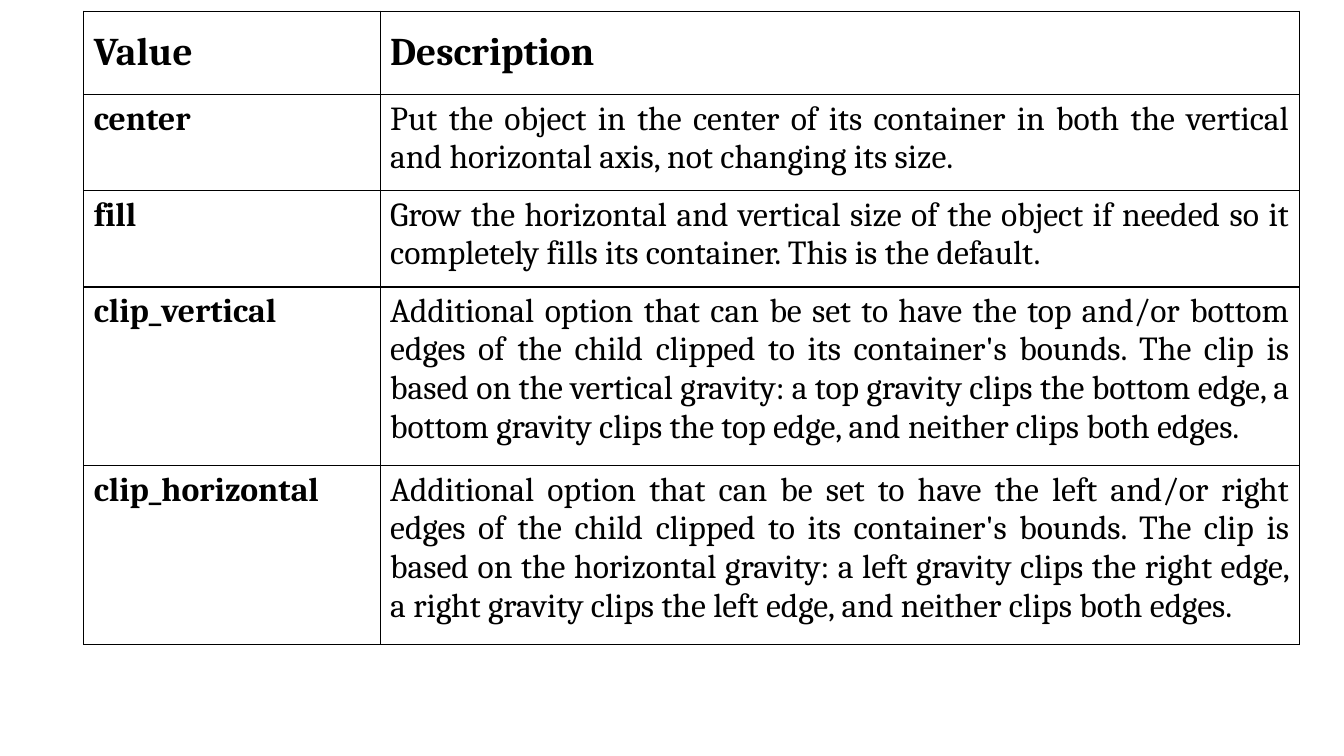
from lxml.etree import SubElement
from pptx import Presentation
from pptx.dml.color import RGBColor
from pptx.enum.text import MSO_ANCHOR as Anchor, PP_ALIGN as Align
from pptx.oxml.ns import qn
from pptx.util import Cm, Pt

COLORS = {"text": "000000", "border": "000000", "fill": "FFFFFF"}
FONT = "Cambria"
COLUMN_WIDTHS = [7.47, 23.16]
ROW_HEIGHTS = [2.11, 2.42, 2.42, 4.51, 4.51]
GRAVITY_ROWS = [
    ("Value", "Description"),
    ("center", "Put the object in the center of its container in both the vertical "
               "and horizontal axis, not changing its size."),
    ("fill", "Grow the horizontal and vertical size of the object if needed so it "
             "completely fills its container. This is the default."),
    ("clip_vertical",
     "Additional option that can be set to have the top and/or bottom edges of the "
     "child clipped to its container's bounds. The clip is based on the vertical "
     "gravity: a top gravity clips the bottom edge, a bottom gravity clips the top "
     "edge, and neither clips both edges."),
    ("clip_horizontal",
     "Additional option that can be set to have the left and/or right edges of the "
     "child clipped to its container's bounds. The clip is based on the horizontal "
     "gravity: a left gravity clips the right edge, a right gravity clips the left "
     "edge, and neither clips both edges."),
]


def add_borders(cell):
    properties = cell._tc.get_or_add_tcPr()
    # Borders come before the fill in the cell properties
    for position, side in enumerate(("lnL", "lnR", "lnT", "lnB")):
        line = SubElement(properties, qn(f"a:{side}"), w=str(Pt(1)))
        fill = SubElement(line, qn("a:solidFill"))
        SubElement(fill, qn("a:srgbClr"), val=COLORS["border"])
        properties.insert(position, line)


def format_cell(cell, text, size, bold, anchor):
    cell.text = text
    cell.vertical_anchor = anchor
    cell.fill.solid()
    cell.fill.fore_color.rgb = RGBColor.from_string(COLORS["fill"])
    add_borders(cell)
    paragraph = cell.text_frame.paragraphs[0]
    paragraph.alignment = Align.JUSTIFY
    font = paragraph.font
    font.name, font.size, font.bold = FONT, Pt(size), bold
    font.color.rgb = RGBColor.from_string(COLORS["text"])


def add_gravity_table(slide):
    table = slide.shapes.add_table(
        len(GRAVITY_ROWS), len(COLUMN_WIDTHS), Cm(2.11), Cm(0.28),
        Cm(sum(COLUMN_WIDTHS)), Cm(sum(ROW_HEIGHTS))).table
    table.horz_banding = False
    for column, width in zip(table.columns, COLUMN_WIDTHS):
        column.width = Cm(width)
    for row, height in zip(table.rows, ROW_HEIGHTS):
        row.height = Cm(height)

    # Header row and first column are bold
    for row_index, texts in enumerate(GRAVITY_ROWS):
        header = row_index == 0
        for column_index, text in enumerate(texts):
            format_cell(table.cell(row_index, column_index), text,
                        size=28 if header else 24,
                        bold=header or column_index == 0,
                        anchor=Anchor.MIDDLE if header else Anchor.TOP)


def main():
    presentation = Presentation()
    presentation.slide_width = Cm(33.87)
    presentation.slide_height = Cm(19.05)
    slide = presentation.slides.add_slide(presentation.slide_layouts[6])
    add_gravity_table(slide)
    presentation.save("out.pptx")


if __name__ == "__main__":
    main()
